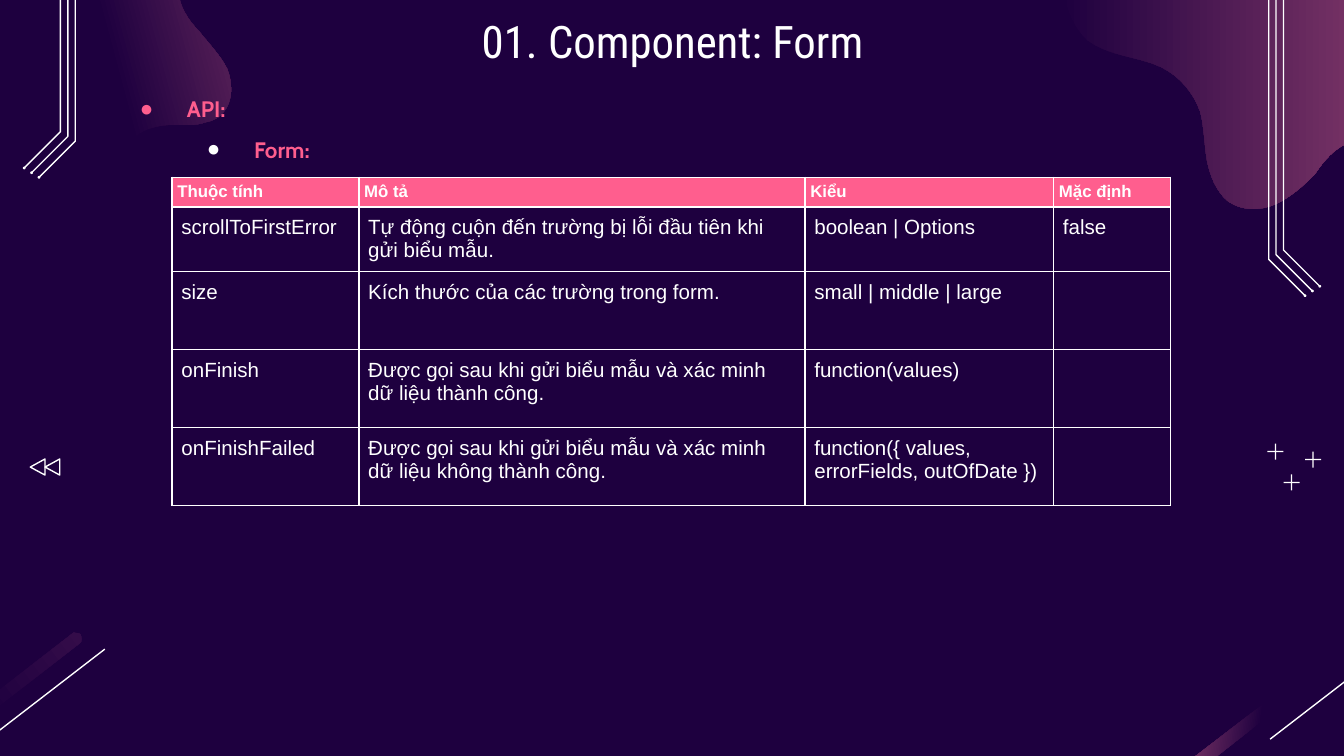
from lxml import etree
from pptx import Presentation
from pptx.dml.color import RGBColor
from pptx.enum.shapes import MSO_CONNECTOR as Connector, MSO_SHAPE as Shape
from pptx.enum.text import MSO_ANCHOR as Anchor, MSO_AUTO_SIZE as AutoSize, PP_ALIGN as Align
from pptx.oxml import parse_xml
from pptx.oxml.ns import nsdecls, qn
from pptx.util import Inches, Pt

NIGHT = RGBColor(0x1E, 0x00, 0x3F)
MAUVE = RGBColor(0xA6, 0x4D, 0x79)
DUSK = RGBColor(0x34, 0x0C, 0x49)
PINK = RGBColor(0xFF, 0x5E, 0x8E)
WHITE = RGBColor(0xFF, 0xFF, 0xFF)

deck = Presentation()
deck.slide_width, deck.slide_height = Inches(10), Inches(10 * 9 / 16)
page = deck.slides.add_slide(deck.slide_layouts[1])
page.background.fill.solid()
page.background.fill.fore_color.rgb = NIGHT
shapes = page.shapes


def write(para, text, font="Arial", size=11, color=WHITE, bold=False, align=Align.LEFT):
    para.alignment = align
    span = para.add_run()
    span.text = text
    span.font.name, span.font.size, span.font.bold = font, Pt(size), bold
    span.font.color.rgb = color


def add_blob(start, curves, light, angle, dark_until=0.0, dx=0):
    """Closed outline of cubic curves (x1, y1, x2, y2, x, y) with a dark-to-light gradient."""
    points = [start]
    for x1, y1, x2, y2, x3, y3 in curves:
        x0, y0 = points[-1]
        for step in range(1, 9):
            t = step / 8
            a, b, c, d = (1 - t) ** 3, 3 * t * (1 - t) ** 2, 3 * t * t * (1 - t), t ** 3
            points.append((a * x0 + b * x1 + c * x2 + d * x3,
                           a * y0 + b * y1 + c * y2 + d * y3))
    corners = [(Inches(x + dx), Inches(y)) for x, y in points]
    builder = shapes.build_freeform(*corners[0])
    builder.add_line_segments(corners[1:], close=True)
    blob = builder.convert_to_shape()
    blob.shadow.inherit = False
    blob.line.fill.background()
    blob.fill.gradient()
    blob.fill.gradient_angle = angle
    first, last = blob.fill.gradient_stops
    first.position, first.color.rgb = dark_until, NIGHT
    last.position, last.color.rgb = 1.0, light


# Corner blobs
add_blob((0.48, 1.9), [
    (0.74, 1.83, 0.86, 1.69, 0.9, 1.65), (0.98, 1.56, 1.01, 1.43, 0.99, 1.31),
    (0.98, 1.24, 0.95, 1.17, 0.97, 1.11), (0.98, 1.02, 1.06, 0.97, 1.14, 0.95),
    (1.24, 0.92, 1.33, 0.93, 1.42, 0.93), (1.46, 0.93, 1.5, 0.92, 1.53, 0.91),
    (1.58, 0.9, 1.63, 0.88, 1.66, 0.84), (1.74, 0.75, 1.73, 0.61, 1.69, 0.51),
    (1.64, 0.41, 1.55, 0.32, 1.48, 0.23), (1.4, 0.15, 1.33, 0.04, 1.33, -0.07),
    (1.33, -0.16, 1.36, -0.25, 1.43, -0.31), (1.47, -0.35, 1.53, -0.38, 1.59, -0.39),
    (1.68, -0.42, 1.79, -0.42, 1.9, -0.41), (2.01, -0.41, 2.12, -0.4, 2.23, -0.42),
    (2.37, -0.46, 2.46, -0.51, 2.52, -0.58), (2.59, -0.66, 2.61, -0.78, 2.58, -0.87),
    (2.56, -1.05, 2.44, -1.25, 2.33, -1.34), (2.15, -1.5, 1.9, -1.55, 1.67, -1.51),
    (1.29, -1.4, 1.03, -1.1, 0.7, -0.95), (0.65, -0.93, 0.59, -0.91, 0.54, -0.9),
    (0.22, -0.81, -0.13, -0.85, -0.47, -0.82), (-0.62, -0.81, -0.77, -0.78, -0.91, -0.74),
    (-1.04, -0.71, -1.16, -0.67, -1.28, -0.61), (-1.45, -0.54, -1.62, -0.44, -1.74, -0.3),
    (-1.86, -0.17, -1.95, 0.02, -1.94, 0.22), (-1.93, 0.46, -1.76, 0.68, -1.56, 0.8),
    (-1.35, 0.93, -1.12, 0.97, -0.88, 0.99), (-0.74, 1.01, -0.6, 1.01, -0.46, 1.06),
    (-0.32, 1.1, -0.19, 1.19, -0.13, 1.33), (-0.08, 1.44, -0.08, 1.55, -0.03, 1.66),
    (0.06, 1.84, 0.29, 1.95, 0.48, 1.9),
], MAUVE, angle=15, dark_until=0.58)
add_blob((11.25, 0.38), [
    (11.25, 0.13, 11.18, -0.13, 11.05, -0.35), (10.94, -0.54, 10.78, -0.7, 10.58, -0.77),
    (10.36, -0.85, 10.12, -0.81, 9.89, -0.84), (9.67, -0.87, 9.45, -0.97, 9.29, -1.13),
    (9.18, -1.23, 9.09, -1.35, 8.97, -1.41), (8.83, -1.48, 8.67, -1.46, 8.52, -1.43),
    (8.4, -1.4, 8.28, -1.36, 8.19, -1.29), (8.03, -1.17, 7.96, -0.97, 7.93, -0.78),
    (7.9, -0.65, 7.89, -0.51, 7.89, -0.38), (7.89, -0.31, 7.89, -0.24, 7.9, -0.18),
    (7.91, 0, 7.96, 0.18, 8.09, 0.3), (8.25, 0.42, 8.47, 0.42, 8.64, 0.5),
    (8.78, 0.57, 8.88, 0.69, 8.93, 0.83), (8.96, 0.94, 8.96, 1.07, 8.98, 1.19),
    (9, 1.3, 9.05, 1.43, 9.14, 1.5), (9.24, 1.57, 9.38, 1.57, 9.49, 1.52),
    (9.6, 1.47, 9.69, 1.39, 9.78, 1.3), (9.83, 1.23, 9.88, 1.16, 9.95, 1.11),
    (10.02, 1.06, 10.1, 1.03, 10.18, 1.06), (10.33, 1.1, 10.38, 1.3, 10.52, 1.38),
    (10.85, 1.57, 11.08, 1.12, 11.17, 0.88), (11.22, 0.72, 11.25, 0.55, 11.25, 0.38),
], MAUVE, angle=0)

# Slanted strip and line in both bottom corners
strip = [
    (0.57, 4.71, 0.59, 4.71, 0.6, 4.72), (0.61, 4.75, 0.61, 4.78, 0.59, 4.79),
    (0.59, 4.79, -0.81, 5.88, -0.81, 5.88), (-0.84, 5.89, -0.87, 5.89, -0.88, 5.87),
    (-0.9, 5.85, -0.9, 5.82, -0.87, 5.8), (-0.87, 5.8, 0.53, 4.72, 0.53, 4.72),
    (0.54, 4.71, 0.55, 4.7, 0.56, 4.71),
]
for dx, light, angle in ((0, DUSK, 37), (9.54, MAUVE, 173)):
    add_blob((0.56, 4.71), strip, light, angle, dark_until=0.5, dx=dx)
    slant = shapes.add_connector(Connector.STRAIGHT, Inches(0.78 + dx), Inches(4.83),
                                 Inches(-0.09 + dx), Inches(5.5))
    slant.line.color.rgb, slant.line.width = WHITE, Pt(0.75)
    etree.SubElement(slant.element.spPr, qn("a:effectLst"))

# Circuit traces: three parallel bent lines per side, each ending in a dot
for origin, side, top in ((9.55, 1, -1.19), (0.45, -1, -2.07)):
    for lane in range(3):
        x = origin - side * 0.055 * lane
        knee = top + 3.05 + 0.035 * lane
        end_x, end_y = x + side * 0.27, knee + 0.27
        builder = shapes.build_freeform(Inches(x), Inches(top))
        builder.add_line_segments([(Inches(x), Inches(knee)),
                                   (Inches(end_x), Inches(end_y))], close=False)
        trace = builder.convert_to_shape()
        trace.shadow.inherit = False
        trace.fill.background()
        trace.line.color.rgb, trace.line.width = WHITE, Pt(0.75)
        dot = shapes.add_shape(Shape.OVAL, Inches(end_x - 0.01), Inches(end_y - 0.01),
                               Inches(0.02), Inches(0.02))
        dot.shadow.inherit = False
        dot.fill.solid()
        dot.fill.fore_color.rgb = WHITE
        dot.line.fill.background()

# Plus signs
for x, y in ((9.61, 3.59), (9.77, 3.42), (9.49, 3.36)):
    for width, height in ((0.12, 0.01), (0.01, 0.12)):
        bar = shapes.add_shape(Shape.RECTANGLE, Inches(x - width / 2), Inches(y - height / 2),
                               Inches(width), Inches(height))
        bar.shadow.inherit = False
        bar.fill.solid()
        bar.fill.fore_color.rgb = WHITE
        bar.line.fill.background()

# Rewind arrows
for x in (0.22, 0.33):
    arrow = shapes.add_shape(Shape.ISOSCELES_TRIANGLE, Inches(x), Inches(3.42),
                             Inches(0.12), Inches(0.11))
    arrow.rotation = 270
    arrow.shadow.inherit = False
    arrow.fill.background()
    arrow.line.color.rgb, arrow.line.width = WHITE, Pt(0.75)

# Title and list, brought in front of the decoration
title, body = shapes.title, page.placeholders[1]
for box, area, anchor in ((body, (0.79, 0.51, 8.12, 0.73), Anchor.TOP),
                          (title, (0.79, 0, 8.43, 0.61), Anchor.MIDDLE)):
    box.left, box.top, box.width, box.height = map(Inches, area)
    frame = box.text_frame
    frame.word_wrap, frame.auto_size, frame.vertical_anchor = True, AutoSize.NONE, anchor
    frame.margin_left = frame.margin_right = frame.margin_top = frame.margin_bottom = Inches(0.1)
    box.element.getparent().append(box.element)
write(title.text_frame.paragraphs[0], "01. Component: Form", font="Roboto Condensed", size=24,
      align=Align.CENTER)

for level, (text, bullet_color) in enumerate((("API:", PINK), ("Form:", WHITE))):
    para = body.text_frame.add_paragraph() if level else body.text_frame.paragraphs[0]
    para.level, para.line_spacing, para.space_before = level, 1.5, Pt(0)
    write(para, text, font="Cabin", size=12, color=PINK, bold=True)
    props = para._p.get_or_add_pPr()
    props.set("marL", str(Inches(0.5 * (level + 1))))
    props.set("indent", str(Inches(-0.35)))
    for tag in (f'<a:buClr {nsdecls("a")}><a:srgbClr val="{bullet_color}"/></a:buClr>',
                f'<a:buFont {nsdecls("a")} typeface="Arial"/>',
                f'<a:buChar {nsdecls("a")} char="●"/>'):
        props.append(parse_xml(tag))

# Property table
ROWS = [
    ("Thuộc tính", "Mô tả", "Kiểu", "Mặc định"),
    ("scrollToFirstError", "Tự động cuộn đến trường bị lỗi đầu tiên khi gửi biểu mẫu.",
     "boolean | Options", "false"),
    ("size", "Kích thước của các trường trong form.", "small | middle | large", ""),
    ("onFinish", "Được gọi sau khi gửi biểu mẫu và xác minh dữ liệu thành công.",
     "function(values)", ""),
    ("onFinishFailed", "Được gọi sau khi gửi biểu mẫu và xác minh dữ liệu không thành công.",
     "function({ values, errorFields, outOfDate })", ""),
]
HEIGHTS = (0.22, 0.48, 0.58, 0.58, 0.58)
WIDTHS = (1.39, 3.32, 1.85, 0.87)
table = shapes.add_table(len(ROWS), len(WIDTHS), Inches(1.28), Inches(1.32),
                         Inches(sum(WIDTHS)), Inches(sum(HEIGHTS))).table
table.first_row = table.horz_banding = False
for column, width in zip(table.columns, WIDTHS):
    column.width = Inches(width)
for r, (texts, height) in enumerate(zip(ROWS, HEIGHTS)):
    table.rows[r].height = Inches(height)
    header = r == 0
    for c, text in enumerate(texts):
        cell = table.cell(r, c)
        inset = Inches(0.04 if header else 0.07)
        cell.margin_left = cell.margin_right = cell.margin_top = cell.margin_bottom = inset
        if header:
            cell.fill.solid()
            cell.fill.fore_color.rgb = PINK
        else:
            cell.fill.background()
        if text:
            write(cell.text_frame.paragraphs[0], text, size=9 if header else 11, bold=header)
        for i, edge in enumerate(("lnL", "lnR", "lnT", "lnB")):
            cell._tc.get_or_add_tcPr().insert(i, parse_xml(
                f'<a:{edge} {nsdecls("a")} w="{Pt(1)}"><a:solidFill>'
                f'<a:srgbClr val="{WHITE}"/></a:solidFill></a:{edge}>'))

deck.save("out.pptx")
